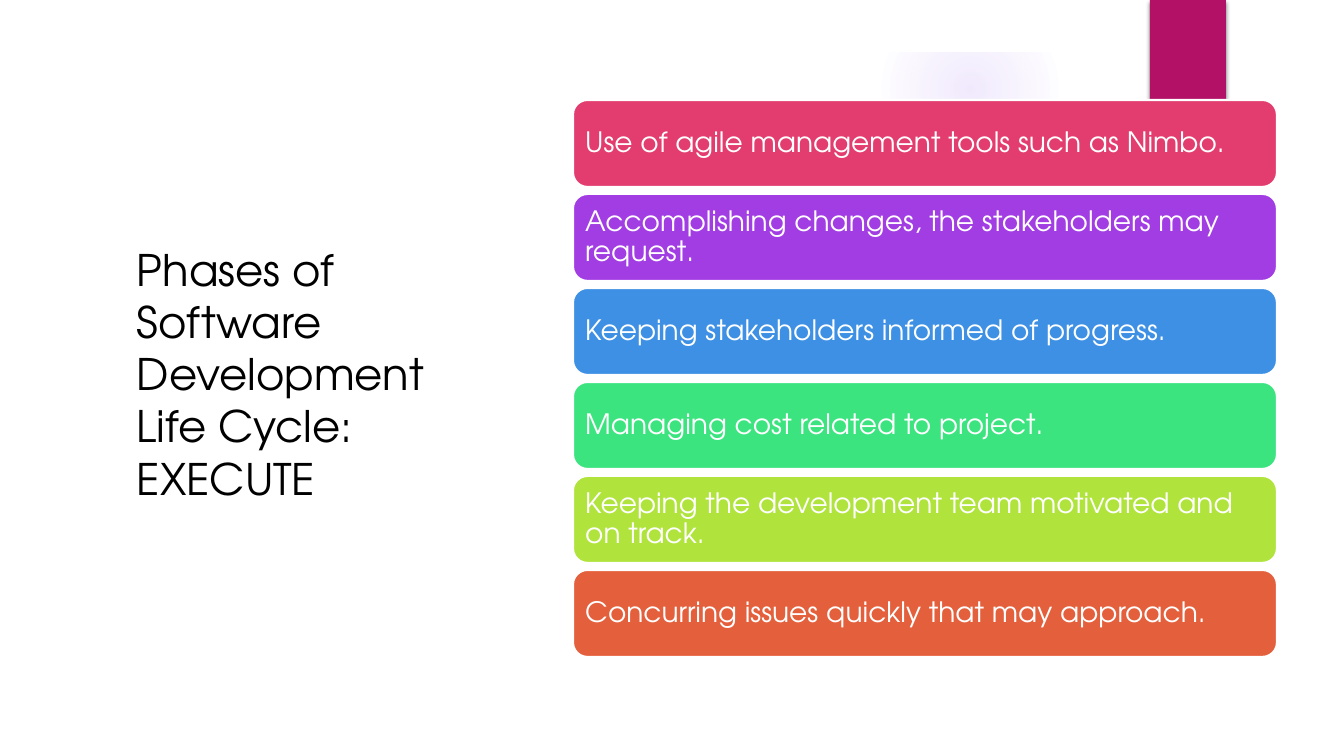
import pptx
import pptx.util
import pptx.oxml
from pptx.dml.color import RGBColor
from pptx.enum.shapes import MSO_SHAPE
from pptx.enum.text import MSO_ANCHOR, PP_ALIGN

# Content
TITLE = "Phases of Software Development Life Cycle: EXECUTE"
STEPS = [
    ("Use of agile management tools such as Nimbo.", RGBColor(0xE3, 0x3D, 0x6F)),
    ("Accomplishing changes, the stakeholders may request.", RGBColor(0xA1, 0x3D, 0xE3)),
    ("Keeping stakeholders informed of progress.", RGBColor(0x3D, 0x90, 0xE3)),
    ("Managing cost related to project.", RGBColor(0x3C, 0xE4, 0x80)),
    ("Keeping the development team motivated and on track.", RGBColor(0xB0, 0xE4, 0x3C)),
    ("Concurring issues quickly that may approach.", RGBColor(0xE4, 0x5F, 0x3C)),
]
GLOW = [(0, 14), (36, 7), (73, 0)]  # stop and opacity, percent
WHITE = RGBColor(0xFF, 0xFF, 0xFF)
BLACK = RGBColor(0, 0, 0)
PLUM = RGBColor(0xB3, 0x11, 0x66)
VIOLET = RGBColor(0x9B, 0x6B, 0xF2)
FONT = "TeX Gyre Adventor"
NS = 'xmlns:a="http://schemas.openxmlformats.org/drawingml/2006/main"'

# Layout, in px
SCALE = 914400 / 100.8
WIDE, HIGH = 1344, 756
LEFT, TOP, BAR_W, BAR_H, PITCH = 573, 100, 704, 87, 94


def px(n):
    return pptx.util.Emu(round(n * SCALE))


def shape(kind, x, y, w, h, color):
    item = slide.shapes.add_shape(kind, px(x), px(y), px(w), px(h))
    item.shadow.inherit = False
    item.fill.solid()
    item.fill.fore_color.rgb = color
    item.line.fill.background()
    return item


def write(item, text, size, color):
    frame = item.text_frame
    frame.text = text
    frame.word_wrap = True
    frame.vertical_anchor = MSO_ANCHOR.MIDDLE
    para = frame.paragraphs[0]
    para.alignment = PP_ALIGN.LEFT
    font = para.runs[0].font
    font.name = FONT
    font.size = pptx.util.Pt(size)
    font.color.rgb = color
    return frame


deck = pptx.Presentation()
deck.slide_width, deck.slide_height = px(WIDE), px(HIGH)
slide = deck.slides.add_slide(deck.slide_layouts[6])

# Soft glow, cut off by the white top margin
glow = shape(MSO_SHAPE.OVAL, 882, 1, 176, 176, VIOLET)
stops = "".join(
    f'<a:gs pos="{pos * 1000}"><a:srgbClr val="{VIOLET}">'
    f'<a:alpha val="{alpha * 1000}"/></a:srgbClr></a:gs>'
    for pos, alpha in GLOW)
grad = pptx.oxml.parse_xml(
    f'<a:gradFill {NS}><a:gsLst>{stops}</a:gsLst><a:path path="circle">'
    '<a:fillToRect l="50000" t="50000" r="50000" b="50000"/></a:path></a:gradFill>')
props = glow.element.spPr
solid = props.find(pptx.oxml.ns.qn("a:solidFill"))
props.replace(solid, grad)
shape(MSO_SHAPE.RECTANGLE, 0, 0, WIDE, 52, WHITE)

# Ribbon with its shadow
ribbon = shape(MSO_SHAPE.RECTANGLE, 1150, 0, 76, 126, PLUM)
effect = ribbon.element.spPr.find(pptx.oxml.ns.qn("a:effectLst"))
effect.append(pptx.oxml.parse_xml(
    f'<a:outerShdw {NS} blurRad="38100" dist="25400" dir="5400000" rotWithShape="0">'
    '<a:srgbClr val="000000"><a:alpha val="45000"/></a:srgbClr></a:outerShdw>'))

# Title
title = slide.shapes.add_textbox(px(127), px(107), px(325), px(533))
write(title, TITLE, 31, BLACK)

# Step bars
for row, (text, color) in enumerate(STEPS):
    bar = shape(MSO_SHAPE.ROUNDED_RECTANGLE, LEFT, TOP + row * PITCH, BAR_W, BAR_H, color)
    bar.line.color.rgb = WHITE
    bar.line.width = pptx.util.Pt(1.5)
    frame = write(bar, text, 20, WHITE)
    frame.margin_left = frame.margin_right = px(8)
    frame.margin_top = frame.margin_bottom = px(8)
    frame.paragraphs[0].line_spacing = 0.9

deck.save("out.pptx")
